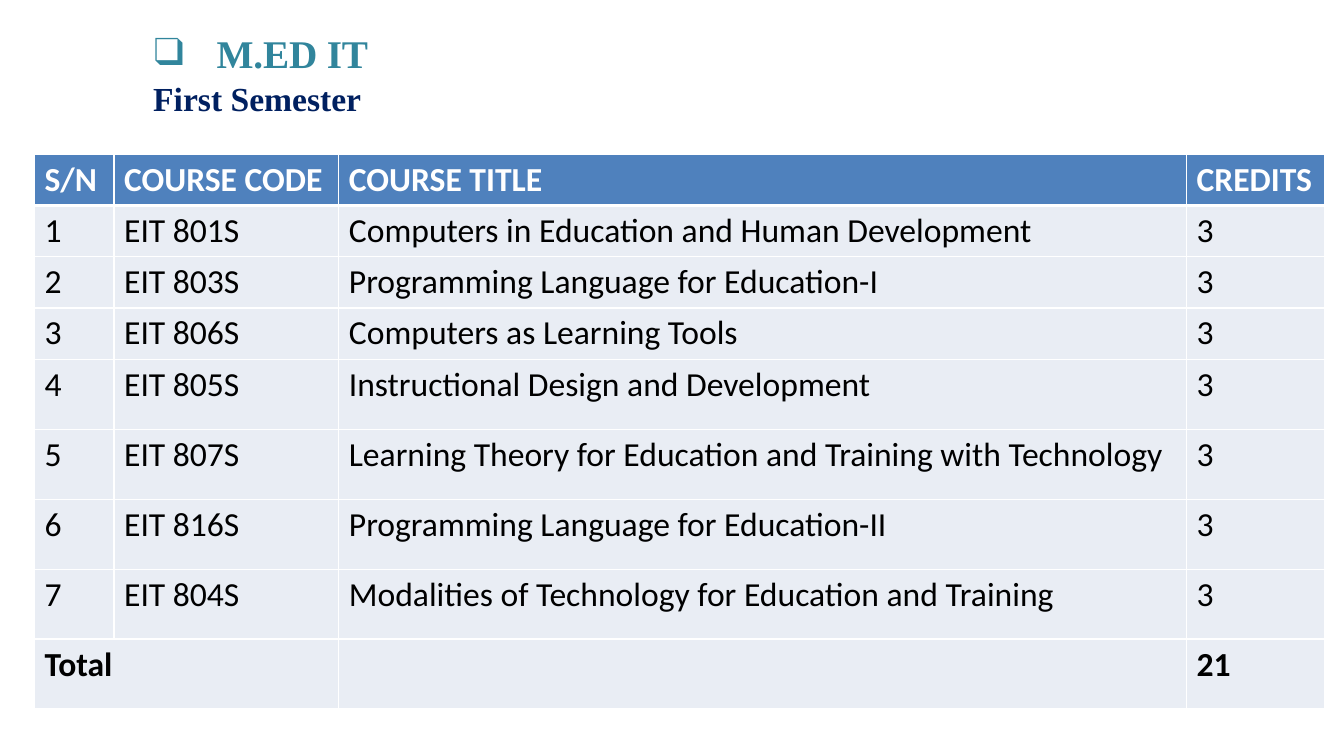
from dataclasses import dataclass

from lxml.etree import SubElement
from pptx import Presentation
from pptx.dml.color import RGBColor
from pptx.enum.text import MSO_ANCHOR, MSO_AUTO_SIZE, PP_ALIGN
from pptx.oxml.ns import qn
from pptx.slide import Slide
from pptx.table import _Cell
from pptx.text.text import Font, _Paragraph
from pptx.util import Pt

WHITE = "FFFFFF"
BLACK = "000000"
TEAL = "31859C"
NAVY = "002060"
HEADER_BLUE = "4F81BD"
ROW_GREY = "E9EDF4"

COLUMN_WIDTHS = (56.88, 160.56, 605.52, 98.64)
LOW_ROW = 36.6
HIGH_ROW = 50


@dataclass(frozen=True)
class CourseRow:
    texts: tuple[str, str, str, str]
    height: float = LOW_ROW
    fill: str = ROW_GREY
    color: str = BLACK
    bold: bool = False
    bottom_border: float = 1


COURSE_ROWS = (
    CourseRow(("S/N", "COURSE CODE", "COURSE TITLE", "CREDITS"),
              fill=HEADER_BLUE, color=WHITE, bold=True, bottom_border=3),
    CourseRow(("1", "EIT 801S", "Computers in Education and Human Development", "3")),
    CourseRow(("2", "EIT 803S", "Programming Language for Education-I", "3")),
    CourseRow(("3", "EIT 806S", "Computers as Learning Tools", "3")),
    CourseRow(("4", "EIT 805S", "Instructional Design and Development", "3"), HIGH_ROW),
    CourseRow(("5", "EIT 807S",
               "Learning Theory for Education and Training with Technology", "3"), HIGH_ROW),
    CourseRow(("6", "EIT 816S", "Programming Language for Education-II", "3"), HIGH_ROW),
    CourseRow(("7", "EIT 804S",
               "Modalities of Technology for Education and Training", "3"), HIGH_ROW),
    CourseRow(("Total", "", "", "21"), HIGH_ROW, bold=True),
)


@dataclass(frozen=True)
class HeadingLine:
    text: str
    size: float
    color: str
    left_margin: float
    indent: float = 0
    alignment: PP_ALIGN = PP_ALIGN.LEFT
    bullet: str = ""
    letter_spacing: float = 0


HEADING_LINES = (
    HeadingLine("M.ED IT", 28, TEAL, 100.8, -44.64, bullet="❑", letter_spacing=-0.1),
    HeadingLine("First Semester", 24, NAVY, 55.44, alignment=PP_ALIGN.JUSTIFY),
)


def rgb(color: str) -> RGBColor:
    return RGBColor.from_string(color)


def format_font(font: Font, name: str, size: float, color: str, bold: bool) -> None:
    font.name = name
    font.size = Pt(size)
    font.bold = bold
    font.color.rgb = rgb(color)


def format_heading_line(para: _Paragraph, line: HeadingLine) -> None:
    para.text = line.text
    para.alignment = line.alignment
    para.space_before = Pt(1.4)
    properties = para._p.get_or_add_pPr()
    properties.set("marL", str(Pt(line.left_margin)))
    properties.set("indent", str(Pt(line.indent)))
    if line.bullet:
        SubElement(properties, qn("a:buFont"), typeface="Times New Roman")
        SubElement(properties, qn("a:buChar"), char=line.bullet)
    for span in para.runs:
        format_font(span.font, "Times New Roman", line.size, line.color, True)
        if line.letter_spacing:
            span.font._element.set("spc", str(round(line.letter_spacing * 100)))


def add_heading(page: Slide) -> None:
    title = page.shapes.title
    title.left, title.top, title.width, title.height = Pt(54), Pt(10.8), Pt(851.76), Pt(74.16)
    frame = title.text_frame
    frame.margin_left = frame.margin_right = frame.margin_bottom = 0
    frame.margin_top = Pt(10.08)
    frame.vertical_anchor = MSO_ANCHOR.TOP
    frame.auto_size = MSO_AUTO_SIZE.NONE
    frame.word_wrap = True
    for index, line in enumerate(HEADING_LINES):
        para = frame.add_paragraph() if index else frame.paragraphs[0]
        format_heading_line(para, line)


def add_border(cell: _Cell, side: str, width: float) -> None:
    border = SubElement(cell._tc.get_or_add_tcPr(), qn(f"a:ln{side}"), w=str(Pt(width)))
    fill = SubElement(border, qn("a:solidFill"))
    SubElement(fill, qn("a:srgbClr"), val=WHITE)


def format_cell(cell: _Cell, text: str, row: CourseRow, top_border: float) -> None:
    borders = {"L": 1, "R": 1, "T": top_border, "B": row.bottom_border}
    for side, width in borders.items():
        add_border(cell, side, width)
    cell.fill.solid()
    cell.fill.fore_color.rgb = rgb(row.fill)
    cell.text = text
    for span in cell.text_frame.paragraphs[0].runs:
        format_font(span.font, "Calibri", 24, row.color, row.bold)


def add_course_table(page: Slide) -> None:
    height = sum(row.height for row in COURSE_ROWS)
    frame = page.shapes.add_table(
        len(COURSE_ROWS), len(COLUMN_WIDTHS),
        Pt(24.6), Pt(110.2), Pt(sum(COLUMN_WIDTHS)), Pt(height))
    table = frame.table
    for column, width in zip(table.columns, COLUMN_WIDTHS):
        column.width = Pt(width)
    top_border = 1
    for row_index, row in enumerate(COURSE_ROWS):
        table.rows[row_index].height = Pt(row.height)
        for column_index, text in enumerate(row.texts):
            format_cell(table.cell(row_index, column_index), text, row, top_border)
        top_border = row.bottom_border
    total_row = len(COURSE_ROWS) - 1
    table.cell(total_row, 0).merge(table.cell(total_row, 1))


def main() -> None:
    deck = Presentation()
    deck.slide_width, deck.slide_height = Pt(960), Pt(540)
    page = deck.slides.add_slide(deck.slide_layouts.get_by_name("Title Only"))
    add_heading(page)
    add_course_table(page)
    deck.save("out.pptx")


if __name__ == "__main__":
    main()
